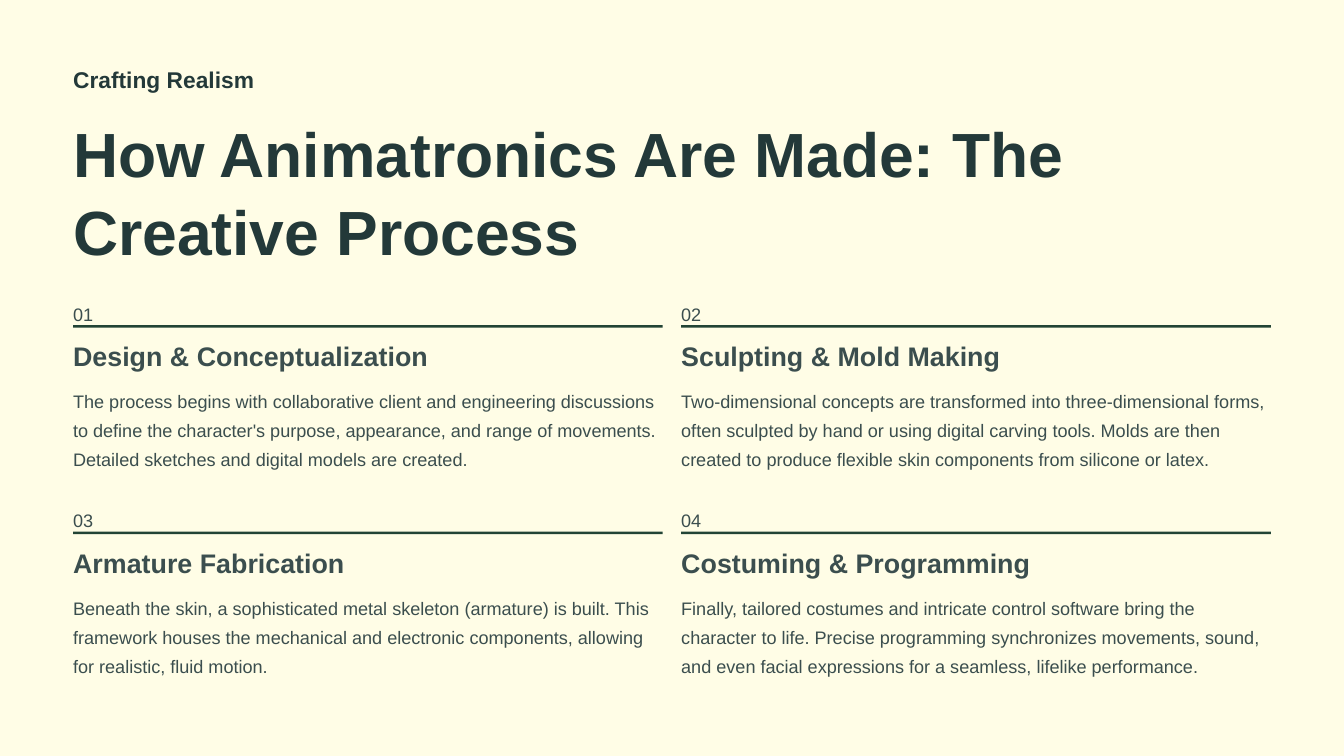
import pptx
import pptx.util
import pptx.dml.color
import pptx.enum.shapes
import pptx.enum.text

Inches = pptx.util.Inches
Pt = pptx.util.Pt

COLORS = {
    "background": "FFFDE6",
    "title": "233939",
    "body": "3B4E4E",
    "rule": "224435",
}
FONT = "Arial"
LEFT = 0.87
FULL_WIDTH = 14.26
STEP_WIDTH = 7.02
STEP_TOP = 3.52
COLUMN_PITCH = 7.24
ROW_PITCH = 2.46

STEPS = [
    ("Design & Conceptualization",
     "The process begins with collaborative client and engineering discussions "
     "to define the character's purpose, appearance, and range of movements. "
     "Detailed sketches and digital models are created."),
    ("Sculpting & Mold Making",
     "Two-dimensional concepts are transformed into three-dimensional forms, "
     "often sculpted by hand or using digital carving tools. Molds are then "
     "created to produce flexible skin components from silicone or latex."),
    ("Armature Fabrication",
     "Beneath the skin, a sophisticated metal skeleton (armature) is built. "
     "This framework houses the mechanical and electronic components, allowing "
     "for realistic, fluid motion."),
    ("Costuming & Programming",
     "Finally, tailored costumes and intricate control software bring the "
     "character to life. Precise programming synchronizes movements, sound, "
     "and even facial expressions for a seamless, lifelike performance."),
]


def set_fill(fill, color):
    fill.solid()
    fill.fore_color.rgb = pptx.dml.color.RGBColor.from_string(COLORS[color])


def add_text(page, text, left, top, width, height, size, spacing, color, bold=False):
    box = page.shapes.add_textbox(Inches(left), Inches(top), Inches(width), Inches(height))
    frame = box.text_frame
    frame.word_wrap = True
    frame.auto_size = pptx.enum.text.MSO_AUTO_SIZE.NONE
    frame.margin_left = frame.margin_right = 0
    frame.margin_top = frame.margin_bottom = 0
    para = frame.paragraphs[0]
    para.line_spacing = Pt(spacing)
    span = para.add_run()
    span.text = text
    span.font.name = FONT
    span.font.size = Pt(size)
    span.font.bold = bold
    span.font.color.rgb = pptx.dml.color.RGBColor.from_string(COLORS[color])


def add_rule(page, left, top):
    rule = page.shapes.add_shape(
        pptx.enum.shapes.MSO_SHAPE.RECTANGLE,
        Inches(left), Inches(top), Inches(STEP_WIDTH), Inches(0.03))
    rule.shadow.inherit = False
    set_fill(rule.fill, "rule")
    rule.line.fill.background()


def add_step(page, number, heading, description, left, top):
    add_text(page, f"{number:02d}", left, top, 0.5, 0.27, 15.5, 25, "body")
    add_rule(page, left, top + 0.35)
    add_text(page, heading, left, top + 0.51, STEP_WIDTH, 0.41, 23, 29, "body", bold=True)
    add_text(page, description, left, top + 1.04, STEP_WIDTH, 1.04, 15.5, 25, "body")


def main():
    deck = pptx.Presentation()
    deck.slide_width = Inches(16)
    deck.slide_height = Inches(9)
    page = deck.slides.add_slide(deck.slide_layouts[6])
    set_fill(page.background.fill, "background")

    # Heading
    add_text(page, "Crafting Realism", LEFT, 0.77, STEP_WIDTH, 0.34,
             19.5, 24, "title", bold=True)
    add_text(page, "How Animatronics Are Made: The Creative Process",
             LEFT, 1.33, FULL_WIDTH, 1.87, 53.5, 67, "title", bold=True)

    # Steps in a two-by-two grid
    for index, (heading, description) in enumerate(STEPS):
        row, column = divmod(index, 2)
        add_step(page, index + 1, heading, description,
                 LEFT + column * COLUMN_PITCH, STEP_TOP + row * ROW_PITCH)

    deck.save("out.pptx")


if __name__ == "__main__":
    main()
